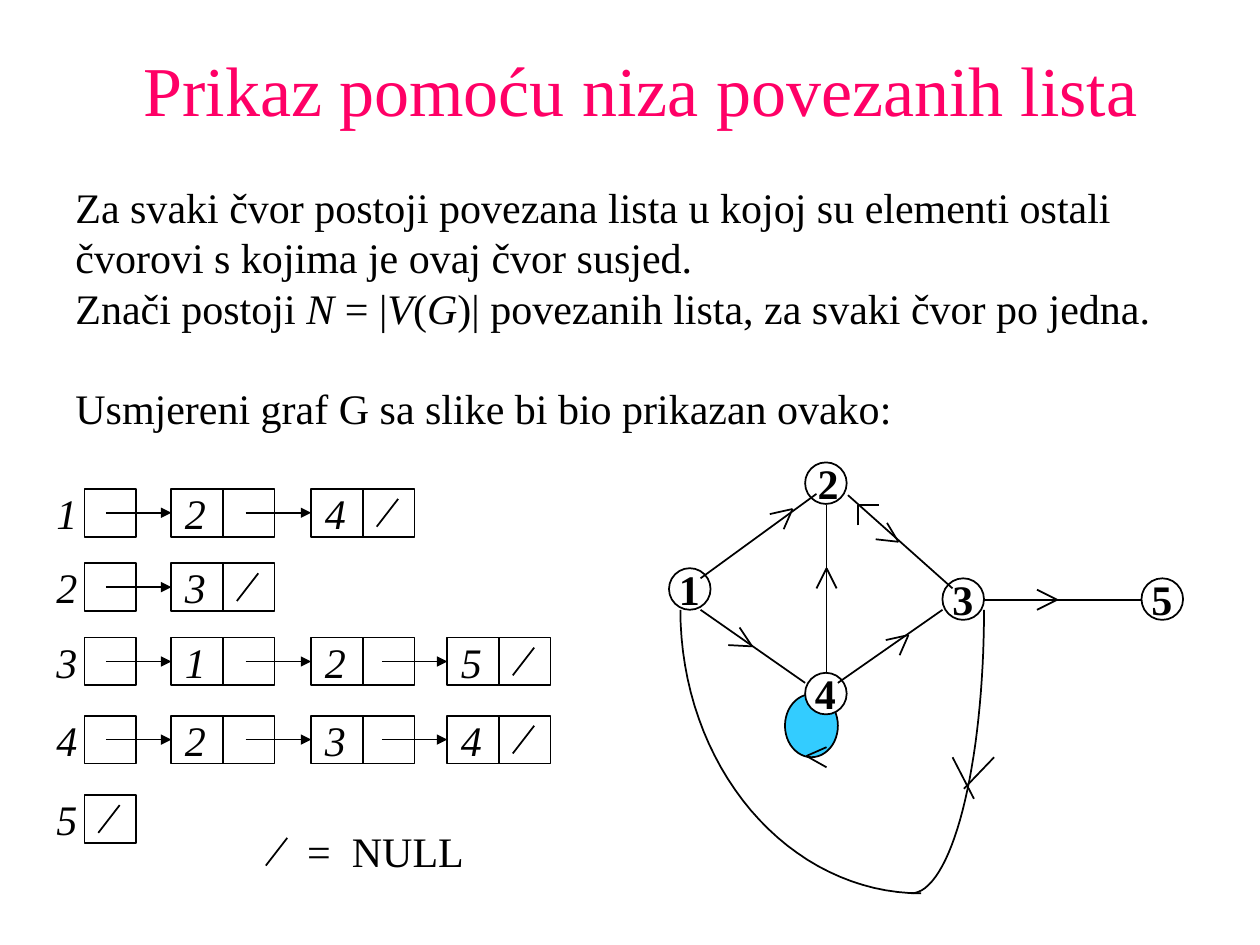
from itertools import pairwise
from math import cos, pi, sin

from lxml.etree import SubElement
from pptx import Presentation
from pptx.dml.color import RGBColor
from pptx.enum.shapes import MSO_CONNECTOR, MSO_SHAPE
from pptx.enum.text import MSO_ANCHOR, PP_ALIGN
from pptx.oxml.ns import qn
from pptx.util import Inches, Pt

COLS, ROWS = 10, 7.5
BLACK, WHITE, PINK, CYAN = "000000", "FFFFFF", "FF0066", "33CCFF"


def color(value):
    return RGBColor.from_string(value)


def write(p, text, size=24, fill=BLACK, bold=False, italic=False):
    r = p.add_run()
    r.text = text
    r.font.name, r.font.size = "Times New Roman", Pt(size)
    r.font.bold, r.font.italic = bold, italic
    r.font.color.rgb = color(fill)


class Board:
    """Current slide on a grid of 10 columns and 7.5 rows, with its line style."""

    line_width = Pt(0.99)

    def __init__(self, prs):
        self.slide = prs.slides.add_slide(prs.slide_layouts[5])
        self.shapes = self.slide.shapes
        self.col, self.row = prs.slide_width / COLS, prs.slide_height / ROWS

    def place(self, x, y):
        return round(x * self.col), round(y * self.row)

    def outline(self, s):
        s.line.color.rgb = color(BLACK)
        s.line.width = self.line_width

    def title(self, text, x, y, w, h):
        s = self.shapes.title
        s.left, s.top = self.place(x, y)
        s.width, s.height = self.place(w, h)
        tf = s.text_frame
        tf.word_wrap, tf.vertical_anchor = True, MSO_ANCHOR.TOP
        p = tf.paragraphs[0]
        p.alignment = PP_ALIGN.CENTER
        write(p, text, size=40, fill=PINK)

    def text(self, x, y, w, h, text="", wrap=False, **style):
        s = self.shapes.add_textbox(*self.place(x, y), *self.place(w, h))
        tf = s.text_frame
        tf.word_wrap = wrap
        if text:
            write(tf.paragraphs[0], text, **style)
        return tf

    def shape(self, kind, x, y, w, h, fill=WHITE):
        s = self.shapes.add_shape(kind, *self.place(x, y), *self.place(w, h))
        s.shadow.inherit = False
        s.fill.solid()
        s.fill.fore_color.rgb = color(fill)
        self.outline(s)

    def line(self, start, end, arrow=False):
        s = self.shapes.add_connector(
            MSO_CONNECTOR.STRAIGHT, *self.place(*start), *self.place(*end))
        self.outline(s)
        if arrow:
            SubElement(s.line._get_or_add_ln(), qn("a:tailEnd"), type="triangle")
        SubElement(s._element.spPr, qn("a:effectLst"))

    def quarter_arc(self, cx, cy, rx, ry, start, steps=32):
        angles = [start + pi / 2 * i / steps for i in range(steps + 1)]
        points = [self.place(cx + rx * cos(a), cy + ry * sin(a)) for a in angles]
        builder = self.shapes.build_freeform(*points[0])
        builder.add_line_segments(points[1:], close=False)
        s = builder.convert_to_shape()
        s.shadow.inherit = False
        s.fill.background()
        self.outline(s)


prs = Presentation()
prs.slide_width, prs.slide_height = Inches(COLS), Inches(ROWS)
board = Board(prs)
board.title("Prikaz pomoću niza povezanih lista", 0.42, 0.32, 9.33, 0.77)

# Explanation: runs between bars alternate upright and italic
PARAGRAPHS = [
    ["Za svaki čvor postoji povezana lista u kojoj su elementi ostali"],
    ["čvorovi s kojima je ovaj čvor susjed. "],
    ["Znači postoji ", "N", " = |", "V", "(", "G",
     ")| povezanih lista, za svaki čvor po jedna."],
    ["Usmjereni graf G sa slike bi bio prikazan ovako:"],
]
tf = board.text(0.5, 1.39, 9.08, 2.1, wrap=True)
for i, runs in enumerate(PARAGRAPHS):
    p = tf.paragraphs[0] if i == 0 else tf.add_paragraph()
    for j, run in enumerate(runs):
        write(p, run, italic=j % 2 == 1)
p.space_before = Pt(28.8)

# Adjacency lists
CELL_W, CELL_H, ARROW = 0.41, 0.38, 0.52
HEAD_X, NODE_XS = 0.67, (1.36, 2.47, 3.55)
LISTS = [(3.88, "1", "24"), (4.47, "2", "3"), (5.06, "3", "125"),
         (5.68, "4", "234"), (6.31, "5", "")]


def cell(x, y):
    board.shape(MSO_SHAPE.RECTANGLE, x, y, CELL_W, CELL_H)


def digit(x, y, text):
    board.text(x, y - 0.06, 0.36, 0.5, text, italic=True)


def null_mark(x, y):
    board.line((x, y + 0.22), (x + 0.17, y))


for y, head, neighbours in LISTS:
    cell(HEAD_X, y)
    digit(HEAD_X - 0.32, y, head)
    last_x = HEAD_X
    nodes = list(zip(NODE_XS, neighbours))
    for x, neighbour in nodes:
        cell(x, y)
        last_x = x + CELL_W
        cell(last_x, y)
        digit(x + 0.01, y, neighbour)
    for x, _ in nodes:
        board.line((x - ARROW, y + CELL_H / 2), (x, y + CELL_H / 2), arrow=True)
    null_mark(last_x + 0.11, y + 0.08)

# Legend
null_mark(2.11, 6.65)
board.text(2.34, 6.5, 1.44, 0.5, "=  NULL")

# Graph: loop, vertices, edges
VERTEX = 0.33
VERTICES = {"1": (5.31, 4.51), "2": (6.39, 3.67), "3": (7.48, 4.59),
            "4": (6.39, 5.34), "5": (9.06, 4.59)}
EDGES = [((5.56, 4.59), (6.48, 3.92)), ((5.56, 4.84), (6.39, 5.42)),
         ((6.65, 5.42), (7.48, 4.84)), ((6.73, 3.93), (7.56, 4.67)),
         ((7.81, 4.76), (9.06, 4.76)), ((6.56, 5.34), (6.56, 4.01))]
board.shape(MSO_SHAPE.OVAL, 6.23, 5.51, 0.42, 0.5, fill=CYAN)
for x, y in VERTICES.values():
    board.shape(MSO_SHAPE.OVAL, x, y, VERTEX, VERTEX)
for start, end in EDGES:
    board.line(start, end)
for name, (x, y) in VERTICES.items():
    board.text(x - 0.02 + 0.02 * (name == "2"), y - 0.09, 0.37, 0.5, name, bold=True)

# Curved edge from 3 to 1
board.quarter_arc(7.31, 4.84, 1.91, 2.25, pi / 2)
board.quarter_arc(7.23, 4.84, 0.58, 2.25, 0)

# Direction marks: two strokes meeting at the tip
MARKS = [
    [(6.48, 4.67), (6.56, 4.51), (6.64, 4.67)],
    [(6.11, 4.08), (6.29, 4.04), (6.22, 4.2)],
    [(8.23, 4.68), (8.39, 4.76), (8.23, 4.84)],
    [(7.03, 5.08), (7.21, 5.04), (7.14, 5.2)],
    [(5.87, 4.98), (5.97, 5.13), (5.78, 5.12)],
    [(7.04, 4.15), (7.13, 4.3), (6.95, 4.28)],
    [(6.56, 6.09), (6.4, 6), (6.56, 5.93)],
    [(6.81, 4.17), (6.81, 4.01), (6.98, 4.01)],
    [(7.56, 6.01), (7.73, 6.34)],
    [(7.65, 6.26), (7.89, 6.01)],
]
for mark in MARKS:
    for start, end in pairwise(mark):
        board.line(start, end)

prs.save("out.pptx")
